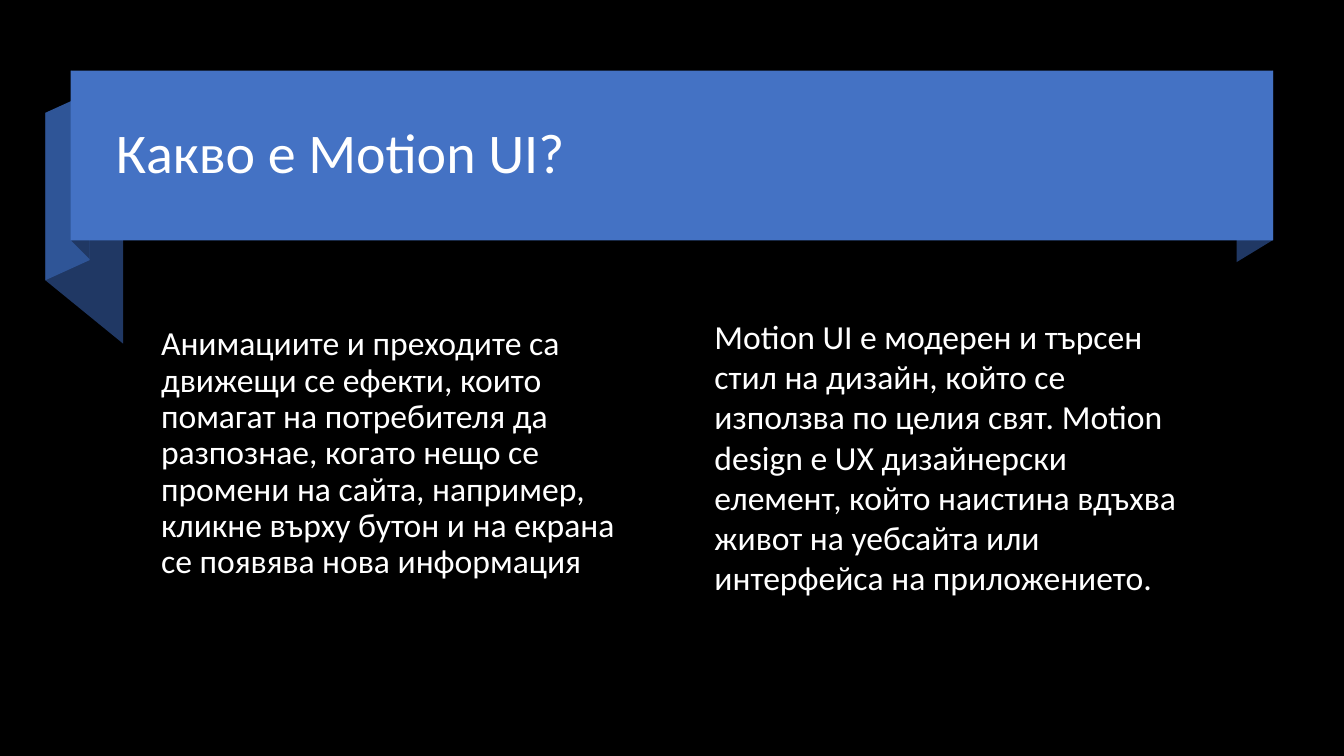
from pptx import Presentation
from pptx.dml.color import RGBColor
from pptx.enum.shapes import MSO_SHAPE
from pptx.enum.text import MSO_ANCHOR
from pptx.util import Pt

RECTANGLE = MSO_SHAPE.RECTANGLE
TOP = MSO_ANCHOR.TOP
MIDDLE = MSO_ANCHOR.MIDDLE

WHITE = "FFFFFF"
BLACK = "000000"
BLUE = "4472C4"
MID_BLUE = "2F5597"
DARK_BLUE = "203864"


def paint(shape, color):
    """Give a shape a flat fill without outline or shadow."""
    shape.fill.solid()
    shape.fill.fore_color.rgb = RGBColor.from_string(color)
    shape.line.fill.background()
    shape.shadow.inherit = False


def add_text(text, left, top, width, height, size=24, anchor=TOP,
             line_spacing=1.0, bottom_margin=3.6):
    box = slide.shapes.add_textbox(Pt(left), Pt(top), Pt(width), Pt(height))
    frame = box.text_frame
    frame.word_wrap = True
    frame.vertical_anchor = anchor
    frame.margin_bottom = Pt(bottom_margin)
    para = frame.paragraphs[0]
    para.line_spacing = line_spacing
    span = para.add_run()
    span.text = text
    span.font.name = "Calibri"
    span.font.size = Pt(size)
    span.font.color.rgb = RGBColor.from_string(WHITE)


deck = Presentation()
deck.slide_width = Pt(960)
deck.slide_height = Pt(540)
slide = deck.slides.add_slide(deck.slide_layouts[6])
slide.background.fill.solid()
slide.background.fill.fore_color.rgb = RGBColor.from_string(BLACK)

# Ribbon folds: left x, its top and bottom, right x, its top and bottom
folds = [
    (32.4, 80.6, 200.2, 88, 126, 245.5, DARK_BLUE),
    (32.4, 80.6, 200.2, 64.1, 66.2, 185.8, MID_BLUE),
    (51, 50.4, 172, 64.1, 64.1, 185, DARK_BLUE),
    (883.4, 65.5, 187.2, 909.4, 50.4, 171.4, DARK_BLUE),
]
for left, left_top, left_bottom, right, right_top, right_bottom, color in folds:
    outline = slide.shapes.build_freeform(Pt(right), Pt(right_bottom))
    outline.add_line_segments([
        (Pt(left), Pt(left_bottom)),
        (Pt(left), Pt(left_top)),
        (Pt(right), Pt(right_top)),
    ], close=True)
    paint(outline.convert_to_shape(), color)

banner = slide.shapes.add_shape(RECTANGLE, Pt(50.4), Pt(50.4), Pt(859), Pt(121.4))
paint(banner, BLUE)

add_text("Какво е Motion UI?", 75.8, 63.2, 808.6, 95.8,
         size=40, anchor=MIDDLE, line_spacing=0.9)
add_text("Анимациите и преходите са движещи се ефекти, които помагат на "
         "потребителя да разпознае, когато нещо се промени на сайта, "
         "например, кликне върху бутон и на екрана се появява нова информация",
         108, 200.2, 341.3, 276.5,
         anchor=MIDDLE, line_spacing=0.9, bottom_margin=32)
add_text("Motion UI е модерен и търсен стил на дизайн, който се използва по "
         "целия свят. Motion design e UX дизайнерски елемент, който наистина "
         "вдъхва живот на уебсайта или интерфейса на приложението.",
         503.3, 221.8, 355.7, 211)

deck.save("out.pptx")
